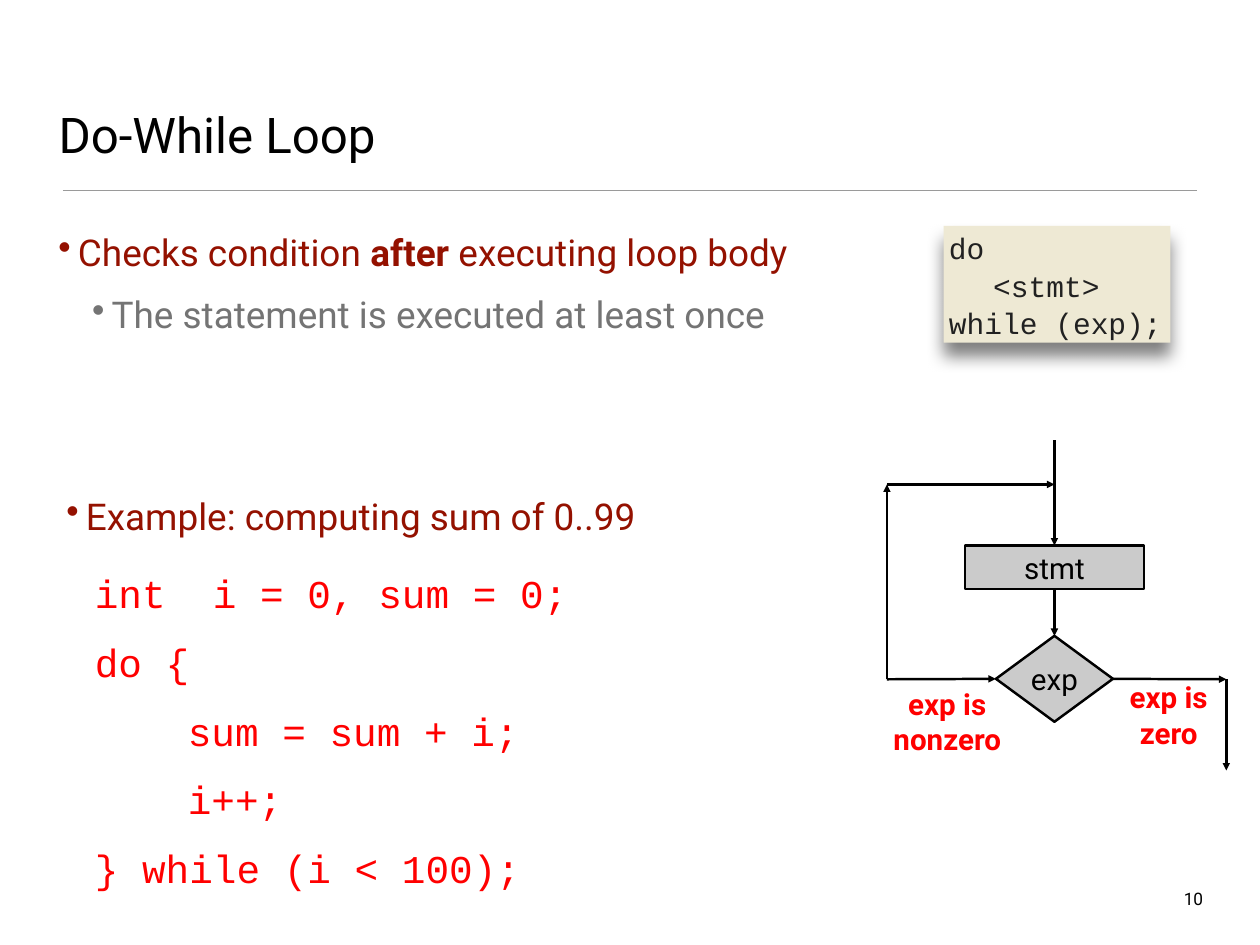
from lxml.etree import SubElement
from pptx import Presentation
from pptx.dml.color import RGBColor
from pptx.enum.shapes import MSO_CONNECTOR, MSO_SHAPE
from pptx.enum.text import MSO_ANCHOR, MSO_AUTO_SIZE, PP_ALIGN
from pptx.oxml.ns import qn
from pptx.util import Inches, Pt

HUES = {"black": "000000", "ink": "212121", "brick": "941100", "gray": "747474",
        "red": "FF0000", "fill": "CBCBCB", "sand": "EEE9D4", "rule": "9A9A9A"}
MONO = "Courier New"


def color(name):
    """Return the named colour."""
    return RGBColor.from_string(HUES[name])


def indent(para, left, hang=0, mark=None):
    """Indent a paragraph and give it an optional bullet."""
    props = para._p.get_or_add_pPr()
    props.set("marL", str(Inches(left)))
    props.set("indent", str(Inches(-hang)))
    if mark:
        SubElement(props, qn("a:buChar"), char=mark)


def write(frame, lines, size=24, font="Roboto", hue="black", bold=False,
          align=PP_ALIGN.LEFT, anchor=MSO_ANCHOR.TOP, pad=0.04, gap=0,
          pitch=None, wrap=True):
    """Fill a frame; in a line given as a tuple, every second run is bold."""
    frame.word_wrap = wrap
    frame.auto_size = MSO_AUTO_SIZE.NONE
    frame.vertical_anchor = anchor
    frame.margin_left = frame.margin_right = Inches(pad)
    frame.margin_top = frame.margin_bottom = Inches(pad)
    for i, line in enumerate(lines):
        para = frame.add_paragraph() if i else frame.paragraphs[0]
        para.alignment = align
        para.space_before = Pt(gap)
        if pitch:
            para.line_spacing = pitch
        for j, part in enumerate((line,) if isinstance(line, str) else line):
            run = para.add_run()
            run.text = part
            run.font.size = Pt(size)
            run.font.name = font
            run.font.bold = bold or j % 2 == 1
            run.font.color.rgb = color(hue)
    return frame.paragraphs


class Board:
    """Holds the slide and draws each kind of element in its style."""

    def __init__(self, deck):
        """Add a title-only slide."""
        self.slide = deck.slides.add_slide(deck.slide_layouts[5])
        self.shapes = self.slide.shapes

    def title(self, text, box):
        """Place and fill the title."""
        head = self.shapes.title
        head.left, head.top, head.width, head.height = map(Inches, box)
        write(head.text_frame, [text], size=40, anchor=MSO_ANCHOR.BOTTOM)

    def text(self, box, lines, **style):
        """Add a text box and return its paragraphs."""
        shape = self.shapes.add_textbox(*map(Inches, box))
        return write(shape.text_frame, lines, **style)

    def node(self, kind, box, lines, fill="fill", edge="black", **style):
        """Add a filled shape with text."""
        shape = self.shapes.add_shape(kind, *map(Inches, box))
        shape.shadow.inherit = False
        shape.fill.solid()
        shape.fill.fore_color.rgb = color(fill)
        if edge:
            shape.line.color.rgb = color(edge)
            shape.line.width = Pt(2)
        else:
            shape.line.fill.background()
        write(shape.text_frame, lines, anchor=MSO_ANCHOR.MIDDLE, **style)
        return shape

    def shade(self, shape):
        """Give a shape a soft shadow below it."""
        glow = SubElement(shape._element.spPr.find(qn("a:effectLst")), qn("a:outerShdw"),
                          blurRad=str(Pt(14)), dist=str(Pt(11)), dir="5400000", rotWithShape="0")
        tint = SubElement(glow, qn("a:srgbClr"), val=HUES["black"])
        SubElement(tint, qn("a:alpha"), val="50000")

    def line(self, start, end, hue="black", width=2, arrow=True, source=None, target=None):
        """Draw a line, joined to (shape, side) at either end if given."""
        link = self.shapes.add_connector(MSO_CONNECTOR.STRAIGHT, *map(Inches, start + end))
        link.line.color.rgb = color(hue)
        link.line.width = Pt(width)
        if arrow:
            SubElement(link.line._get_or_add_ln(), qn("a:tailEnd"), type="triangle")
        SubElement(link._element.spPr, qn("a:effectLst"))
        if source:
            link.begin_connect(*source)
        if target:
            link.end_connect(*target)


def main():
    """Build the slide."""
    deck = Presentation()
    deck.slide_width, deck.slide_height = Inches(14.22), Inches(10.67)
    board = Board(deck)

    board.title("Do-While Loop", (0.62, 0.36, 12.97, 1.53))
    board.line((0.71, 2.15), (13.51, 2.15), hue="rule", width=1, arrow=False)

    point, detail = board.text(
        (0.62, 2.55, 9.5, 1.5),
        [("Checks condition ", "after", " executing loop body"),
         "The statement is executed at least once"],
        size=30, hue="brick", gap=15)
    indent(point, 0.22, 0.22, "•")
    indent(detail, 0.6, 0.22, "•")
    detail.runs[0].font.color.rgb = color("gray")

    form = board.node(MSO_SHAPE.RECTANGLE, (10.65, 2.55, 2.56, 1.32),
                      ["do", "<stmt>", "while (exp);"], fill="sand", edge=None,
                      font=MONO, hue="ink", pad=0.06, pitch=1.06)
    indent(form.text_frame.paragraphs[1], 0.5)
    board.shade(form)

    mid, left, right, level, top = 11.9, 10.01, 13.84, 7.67, 5.47
    test = board.node(MSO_SHAPE.FLOWCHART_DECISION, (11.24, 7.18, 1.32, 0.97),
                      ["exp"], align=PP_ALIGN.CENTER)
    step = board.node(MSO_SHAPE.FLOWCHART_PROCESS, (10.89, 6.16, 2.02, 0.49),
                      ["stmt"], align=PP_ALIGN.CENTER)
    board.line((mid, 4.97), (mid, 6.16), target=(step, 0))
    board.line((mid, 6.65), (mid, 7.18), source=(step, 2), target=(test, 0))
    board.line((12.56, level), (right, level), source=(test, 3))
    board.line((right, level), (right, 8.7))
    board.line((left, level), (11.24, level), target=(test, 1))
    board.line((left, level), (left, top))
    board.line((left, top), (mid, top))
    for label, box in (("exp is nonzero", (9.68, 7.68, 2.02, 0.92)),
                       ("exp is zero", (12.46, 7.61, 1.46, 0.92))):
        board.text(box, [label], hue="red", bold=True, align=PP_ALIGN.CENTER,
                   anchor=MSO_ANCHOR.MIDDLE, pad=0.06)

    case = board.text((0.71, 5.53, 8.5, 0.7), ["Example: computing sum of 0..99"],
                      size=30, hue="brick", gap=15)
    indent(case[0], 0.22, 0.22, "•")
    code = board.text((1.03, 6.36, 8, 4),
                      ["int  i = 0, sum = 0;", "do {", "sum = sum + i;", "i++;",
                       "} while (i < 100);"],
                      size=32, font=MONO, hue="red", gap=15, pitch=1.06)
    for para in code[2:4]:
        indent(para, 1.05)

    board.text((13.31, 9.99, 0.31, 0.3), ["10"], size=14, align=PP_ALIGN.RIGHT, wrap=False)
    deck.save("out.pptx")


if __name__ == "__main__":
    main()
